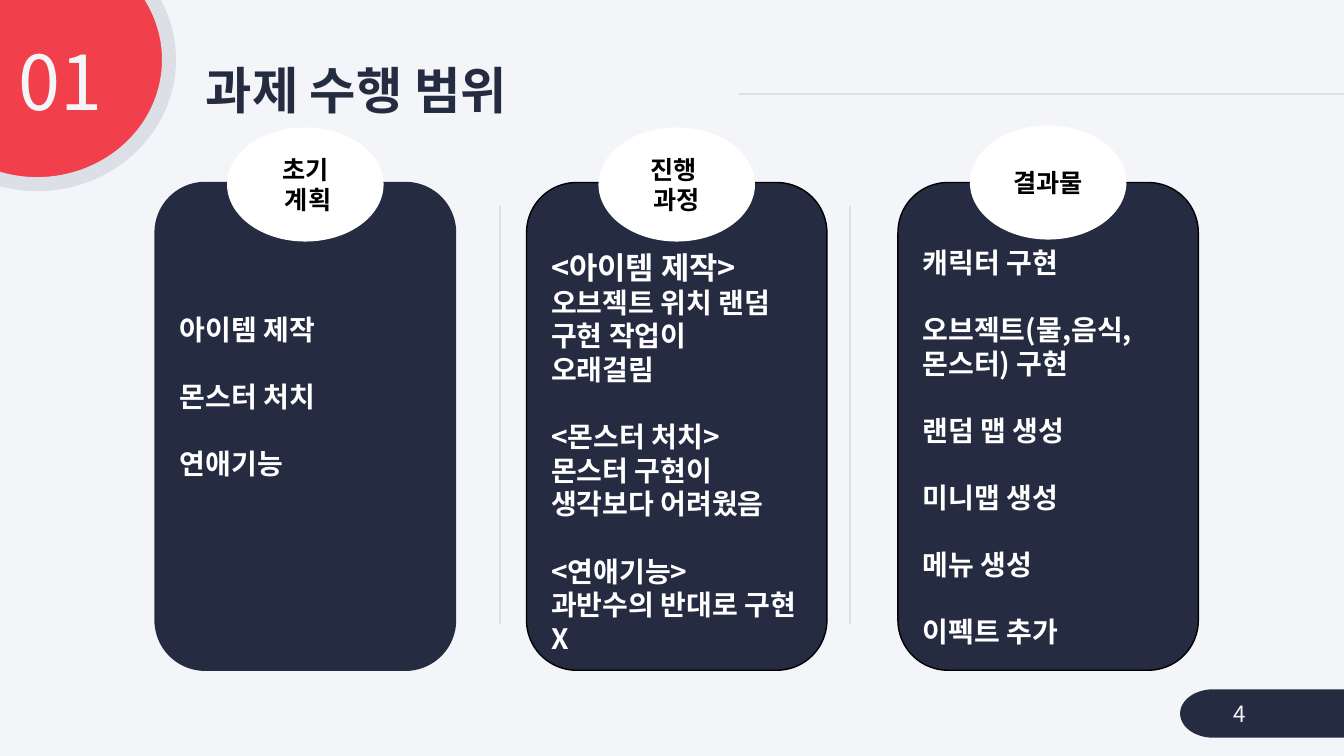
import pptx
import pptx.util
import pptx.dml.color
import pptx.enum.shapes
import pptx.enum.text
import pptx.oxml.ns
import lxml.etree
from dataclasses import dataclass

Cm, Pt = pptx.util.Cm, pptx.util.Pt
Shape = pptx.enum.shapes.MSO_SHAPE
Align = pptx.enum.text.PP_ALIGN
Anchor = pptx.enum.text.MSO_ANCHOR
qn = pptx.oxml.ns.qn


@dataclass(frozen=True)
class Theme:
    """Colours, font and type sizes of the slide."""
    font: str = "Noto Sans CJK KR"
    paper: str = "F4F5F9"
    navy: str = "252C41"
    red: str = "F1404B"
    rule: str = "DDDFE6"
    white: str = "FFFFFF"
    black: str = "000000"
    number: int = 54
    title: int = 36
    heading: int = 22
    body: int = 20
    label: int = 18
    page: int = 16


THEME = Theme()
SECTION, TITLE, PAGE = "01", "과제 수행 범위", "4"

# Each group of lines is set apart from the next by one line of space.
CARDS = [
    {"label": ["초기", " 계획"], "label_top": 3.23, "outline": THEME.navy,
     "text_top": 2.9, "first_size": THEME.body,
     "groups": [["아이템 제작"], ["몬스터 처치"], ["연애기능"]]},
    {"label": ["진행 ", "과정"], "label_top": 3.23, "outline": THEME.black,
     "text_top": 1.29, "first_size": THEME.heading,
     "groups": [["<아이템 제작>", "오브젝트 위치 랜덤 구현 작업이", "오래걸림"],
                ["<몬스터 처치>", "몬스터 구현이 생각보다 어려웠음"],
                ["<연애기능>", "과반수의 반대로 구현 X"]]},
    {"label": ["결과물"], "label_top": 3.18, "outline": THEME.black,
     "text_top": 1.21, "first_size": THEME.body,
     "groups": [["캐릭터 구현"], ["오브젝트(물,음식,몬스터) 구현"], ["랜덤 맵 생성"],
                ["미니맵 생성"], ["메뉴 생성"], ["이펙트 추가"]]},
]
CARD_LEFT, CARD_TOP, CARD_WIDTH, CARD_HEIGHT, CARD_PITCH = 3.91, 4.6, 7.57, 12.29, 9.36
LABEL_WIDTH, LABEL_HEIGHT = 3.91, 2.84
DIVIDERS = [12.6, 21.41]


def rgb(value):
    """Turn a hex string into a colour."""
    return pptx.dml.color.RGBColor.from_string(value)


def format_paragraph(paragraph, size, color, bold=False, align=Align.LEFT, spacing=None):
    """Set font, alignment and line spacing; the spacing defaults to 1.2 lines."""
    paragraph.alignment = align
    paragraph.line_spacing = spacing or Pt(size * 1.2)
    font = paragraph.font
    font.size, font.bold, font.name = Pt(size), bold, THEME.font
    font.color.rgb = rgb(color)
    properties = paragraph._p.pPr.find(qn("a:defRPr"))
    lxml.etree.SubElement(properties, qn("a:ea")).set("typeface", THEME.font)


def add_box(slide, kind, left, top, width, height, fill, outline=None, weight=1):
    """Add a filled preset shape, measured in centimetres."""
    shape = slide.shapes.add_shape(kind, Cm(left), Cm(top), Cm(width), Cm(height))
    shape.shadow.inherit = False
    shape.fill.solid()
    shape.fill.fore_color.rgb = rgb(fill)
    if outline:
        shape.line.color.rgb = rgb(outline)
        shape.line.width = Pt(weight)
    else:
        shape.line.fill.background()
    return shape


def add_rule(slide, left, top, right, bottom):
    """Add a thin pale line."""
    line = slide.shapes.add_connector(pptx.enum.shapes.MSO_CONNECTOR.STRAIGHT,
                                      Cm(left), Cm(top), Cm(right), Cm(bottom))
    line.line.color.rgb = rgb(THEME.rule)
    line.line.width = Pt(1.5)
    lxml.etree.SubElement(line._element.spPr, qn("a:effectLst"))


def add_text(slide, text, left, top, width, height, size, anchor, align):
    """Add a one-line text box in the paper colour."""
    frame = slide.shapes.add_textbox(Cm(left), Cm(top), Cm(width), Cm(height)).text_frame
    frame.word_wrap = True
    frame.vertical_anchor = anchor
    frame.text = text
    format_paragraph(frame.paragraphs[0], size, THEME.paper, align=align)


def add_title(slide):
    """Place and format the title placeholder."""
    title = slide.shapes.title
    title.left, title.top, title.width, title.height = Cm(4.93), Cm(1.5), Cm(13.69), Cm(1.7)
    frame = title.text_frame
    frame.text = TITLE
    frame.auto_size = pptx.enum.text.MSO_AUTO_SIZE.NONE
    frame.vertical_anchor = Anchor.MIDDLE
    format_paragraph(frame.paragraphs[0], THEME.title, THEME.navy, True, spacing=0.9)


def add_card(slide, left, card):
    """Add a card with its groups of lines."""
    shape = add_box(slide, Shape.ROUNDED_RECTANGLE, left, CARD_TOP, CARD_WIDTH, CARD_HEIGHT,
                    THEME.navy, card["outline"])
    frame = shape.text_frame
    frame.vertical_anchor = Anchor.TOP
    frame.margin_top = Cm(card["text_top"])
    frame.text = "\n".join(line for group in card["groups"] for line in group)
    paragraphs = iter(frame.paragraphs)
    for group_index, group in enumerate(card["groups"]):
        for line_index in range(len(group)):
            paragraph = next(paragraphs)
            is_first = group_index == line_index == 0
            size = card["first_size"] if is_first else THEME.body
            format_paragraph(paragraph, size, THEME.white, True)
            if group_index and line_index == 0:
                paragraph.space_before = Pt(THEME.body * 1.2)


def add_label(slide, left, card):
    """Add the white oval centred on the top edge of a card."""
    oval = add_box(slide, Shape.OVAL, left + (CARD_WIDTH - LABEL_WIDTH) / 2, card["label_top"],
                   LABEL_WIDTH, LABEL_HEIGHT, THEME.white, THEME.white)
    frame = oval.text_frame
    frame.vertical_anchor = Anchor.MIDDLE
    frame.text = "\n".join(card["label"])
    for paragraph in frame.paragraphs:
        format_paragraph(paragraph, THEME.label, THEME.black, True, Align.CENTER)


def main():
    """Build the slide and save it."""
    presentation = pptx.Presentation()
    presentation.slide_width, presentation.slide_height = Cm(33.87), Cm(19.05)
    slide = presentation.slides.add_slide(presentation.slide_layouts[5])
    slide.background.fill.solid()
    slide.background.fill.fore_color.rgb = rgb(THEME.paper)

    add_rule(slide, 18.62, 2.36, 33.87, 2.36)
    add_box(slide, Shape.OVAL, -2.39, -1.63, 6.65, 6.27, THEME.red, THEME.rule, 10)
    add_box(slide, Shape.FLOWCHART_TERMINATOR, 29.74, 17.37, 5.21, 1.22, THEME.navy)
    for left in DIVIDERS:
        add_rule(slide, left, 5.18, left, 15.72)
    add_text(slide, SECTION, -0.28, 0.75, 3.1, 2.34, THEME.number, Anchor.TOP, Align.RIGHT)
    add_title(slide)
    add_text(slide, PAGE, 30.84, 17.48, 2.77, 1.02, THEME.page, Anchor.MIDDLE, Align.LEFT)
    for index, card in enumerate(CARDS):
        left = CARD_LEFT + index * CARD_PITCH
        add_card(slide, left, card)
        add_label(slide, left, card)
    presentation.save("out.pptx")


main()
